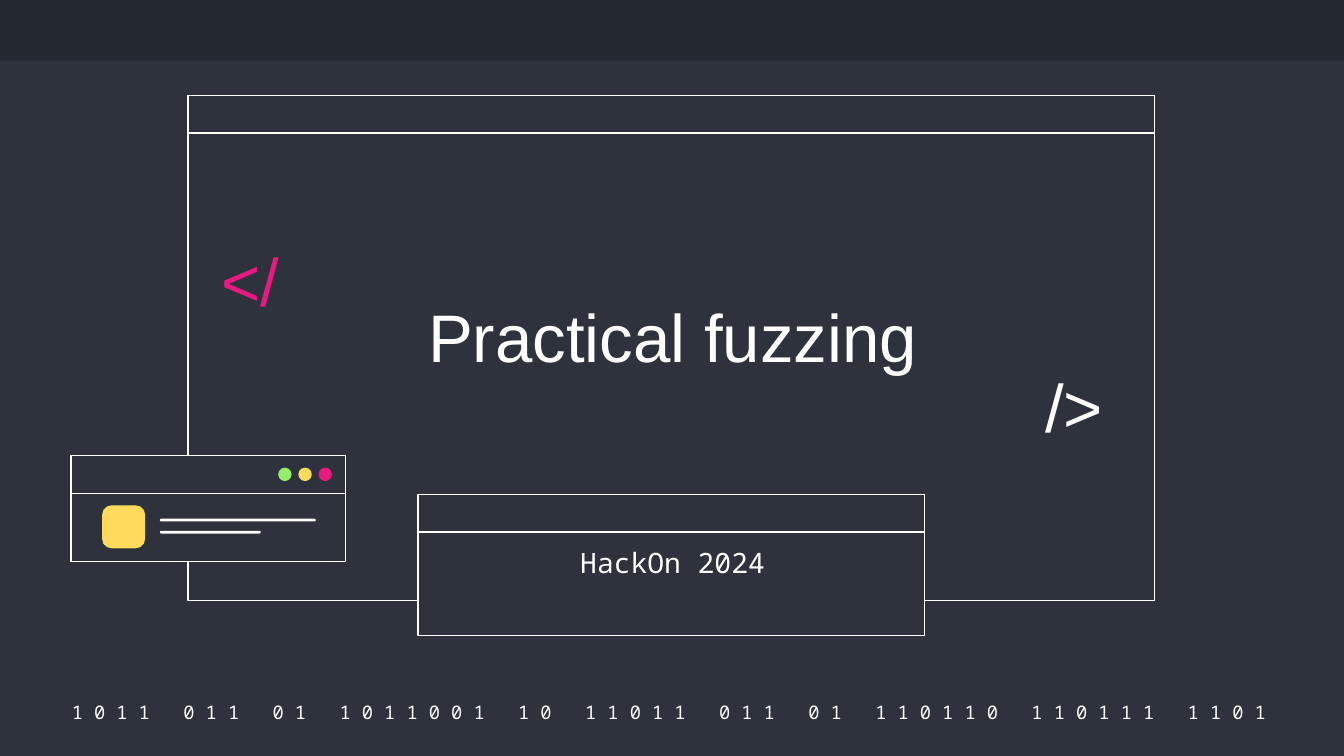
from dataclasses import dataclass

from pptx import Presentation
from pptx.dml.color import RGBColor
from pptx.enum.shapes import MSO_SHAPE
from pptx.enum.text import MSO_ANCHOR, PP_ALIGN
from pptx.shapes.autoshape import Shape
from pptx.slide import Slide
from pptx.util import Inches, Pt

RECTANGLE = MSO_SHAPE.RECTANGLE
ROUNDED = MSO_SHAPE.ROUNDED_RECTANGLE
OVAL = MSO_SHAPE.OVAL
LEFT, CENTER = PP_ALIGN.LEFT, PP_ALIGN.CENTER
TOP, MIDDLE, BOTTOM = MSO_ANCHOR.TOP, MSO_ANCHOR.MIDDLE, MSO_ANCHOR.BOTTOM

COLORS = {
    "background": "2D323C",
    "banner": "242830",
    "white": "FFFFFF",
    "pink": "E81981",
    "yellow": "FFDB5D",
    "green": "94EE6B",
}
SANS = "Arial"
MONO = "Noto Sans Mono"
SLIDE_WIDTH = 10
SLIDE_HEIGHT = SLIDE_WIDTH * 9 / 16
TITLE_BAR_HEIGHT = 0.28
BINARY_GROUPS = "1011 011 01 1011001 10 11011 011 01 110110 110111 1101".split()


@dataclass(frozen=True)
class Box:
    left: float
    top: float
    width: float
    height: float

    def lengths(self) -> list[Inches]:
        return [Inches(n) for n in (self.left, self.top, self.width, self.height)]


MAIN_WINDOW = Box(1.4, 0.71, 7.19, 3.76)
SUBTITLE_WINDOW = Box(3.11, 3.68, 3.77, 1.05)
SMALL_WINDOW = Box(0.53, 3.39, 2.04, 0.79)


def color(name: str) -> RGBColor:
    return RGBColor.from_string(COLORS[name])


def add_filled(slide: Slide, kind: MSO_SHAPE, box: Box, fill: str,
               outline: str | None = None, rounding: float | None = None) -> Shape:
    shape = slide.shapes.add_shape(kind, *box.lengths())
    shape.shadow.inherit = False
    shape.fill.solid()
    shape.fill.fore_color.rgb = color(fill)
    if outline:
        shape.line.color.rgb = color(outline)
        shape.line.width = Pt(0.75)
    else:
        shape.line.fill.background()
    if rounding is not None:
        shape.adjustments[0] = rounding
    return shape


def add_window(slide: Slide, box: Box) -> None:
    """Draw an outlined window with a title bar along its top."""
    title_bar = Box(box.left, box.top, box.width, TITLE_BAR_HEIGHT)
    for part in (box, title_bar):
        add_filled(slide, RECTANGLE, part, "background", outline="white")


def add_text(slide: Slide, text: str, box: Box, *, size: float, font: str = SANS,
             fill: str = "white", align: PP_ALIGN = LEFT, anchor: MSO_ANCHOR = MIDDLE,
             line_spacing: float = 1.0, bottom_margin: float = 0.1) -> None:
    frame = slide.shapes.add_textbox(*box.lengths()).text_frame
    frame.word_wrap = True
    frame.vertical_anchor = anchor
    frame.margin_left = frame.margin_right = frame.margin_top = Inches(0.1)
    frame.margin_bottom = Inches(bottom_margin)
    paragraph = frame.paragraphs[0]
    paragraph.alignment = align
    paragraph.line_spacing = line_spacing
    run = paragraph.add_run()
    run.text = text
    run.font.name = font
    run.font.size = Pt(size)
    run.font.color.rgb = color(fill)


def add_small_window(slide: Slide) -> None:
    add_window(slide, SMALL_WINDOW)
    add_filled(slide, ROUNDED, Box(0.76, 3.76, 0.32, 0.32), "yellow", rounding=0.22)
    for top, width in ((3.86, 1.16), (3.95, 0.75)):
        add_filled(slide, ROUNDED, Box(1.19, top, width, 0.02), "white", rounding=0.5)
    for index, fill in enumerate(("green", "yellow", "pink")):
        add_filled(slide, OVAL, Box(2.07 + 0.15 * index, 3.48, 0.1, 0.1), fill)


def main() -> None:
    presentation = Presentation()
    presentation.slide_width = Inches(SLIDE_WIDTH)
    presentation.slide_height = Inches(SLIDE_HEIGHT)
    slide = presentation.slides.add_slide(presentation.slide_layouts[6])
    slide.background.fill.solid()
    slide.background.fill.fore_color.rgb = color("background")

    add_filled(slide, RECTANGLE, Box(0, 0, SLIDE_WIDTH, 0.45), "banner")
    binary = "   ".join(" ".join(group) for group in BINARY_GROUPS)
    add_text(slide, binary, Box(0.34, 5.2, 9.27, 0.2), size=10, font=MONO, align=CENTER)

    add_window(slide, MAIN_WINDOW)
    add_window(slide, SUBTITLE_WINDOW)
    add_text(slide, "</", Box(1.55, 1.79, 0.77, 0.66), size=36, fill="pink",
             line_spacing=0.9)
    add_text(slide, "/>", Box(7.68, 2.73, 0.77, 0.66), size=36, line_spacing=0.9)
    add_text(slide, "Practical fuzzing", Box(2.26, 1.41, 5.49, 1.98), size=36,
             align=CENTER, anchor=BOTTOM, line_spacing=0.9, bottom_margin=0.73)
    add_text(slide, "HackOn 2024", Box(3.34, 3.96, 3.33, 0.78), size=15, font=MONO,
             align=CENTER, anchor=TOP)
    add_small_window(slide)

    presentation.save("out.pptx")


if __name__ == "__main__":
    main()
